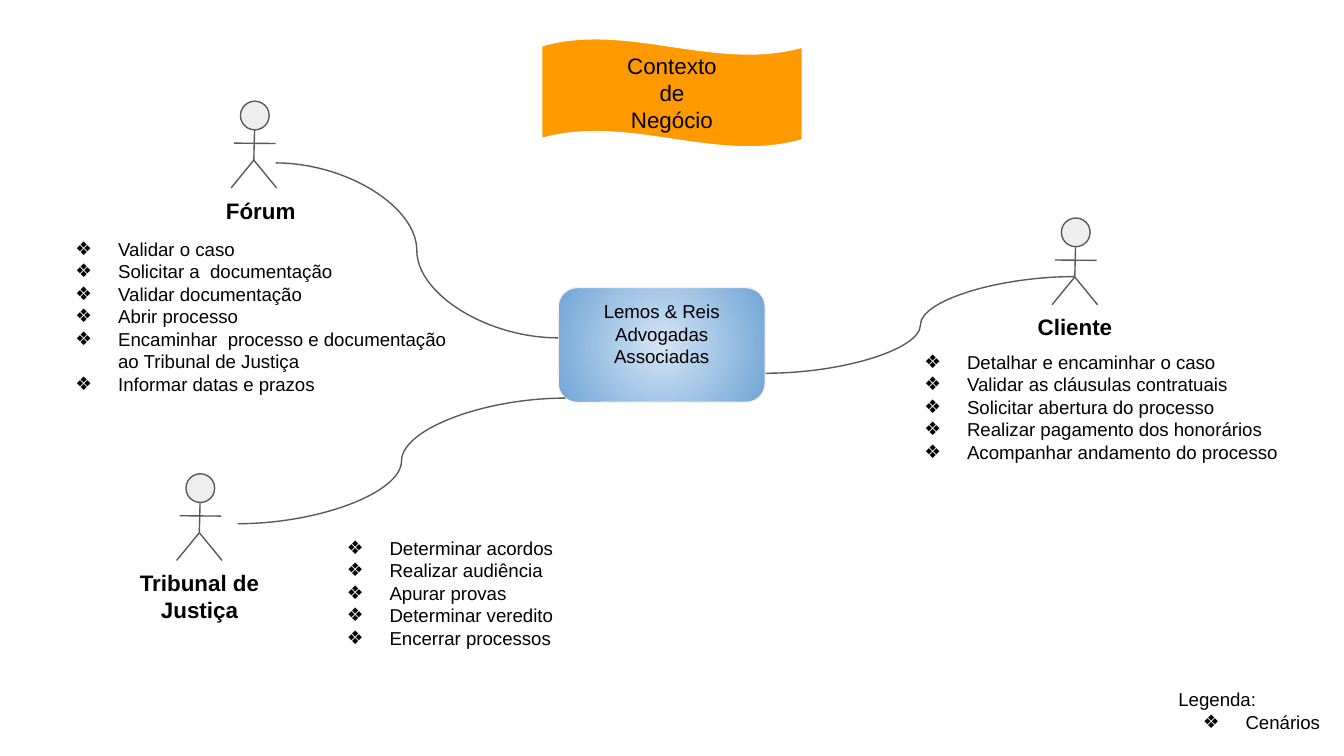
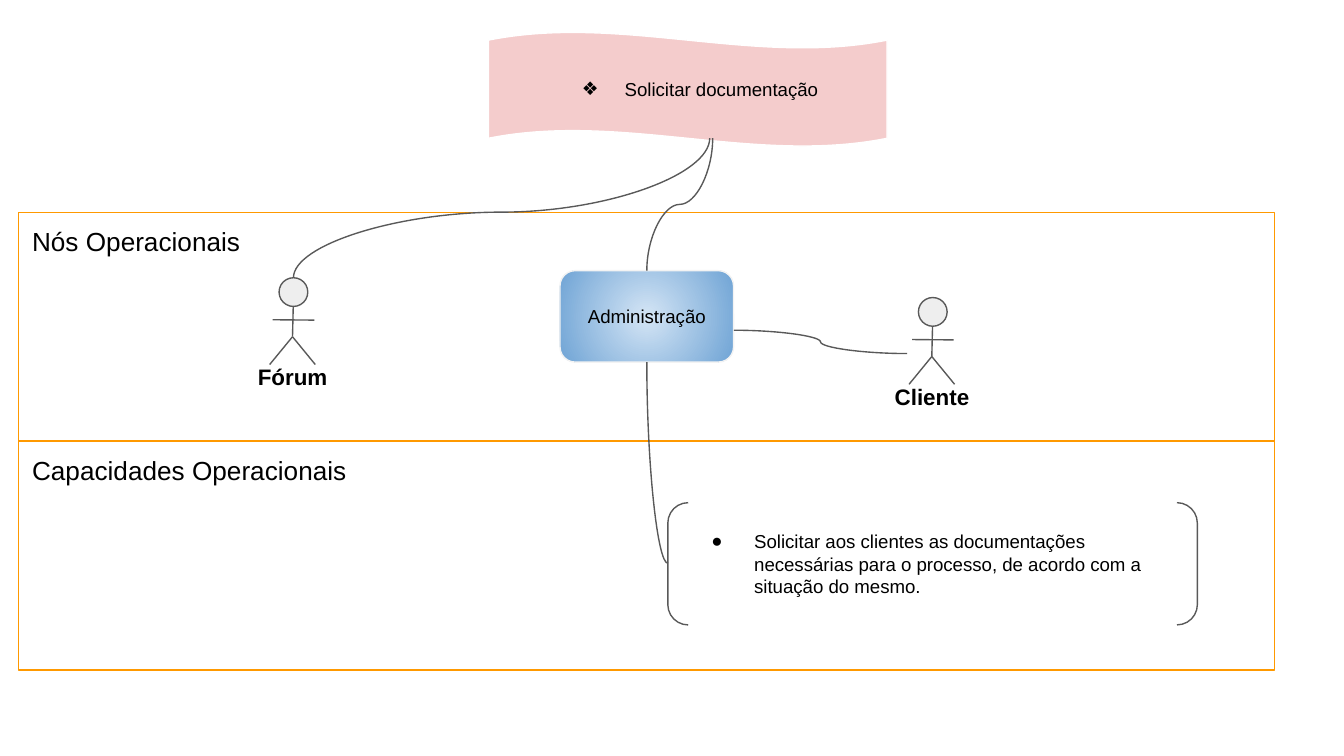
import dataclasses

import lxml.etree
import pptx
import pptx.dml.color
import pptx.enum.shapes
import pptx.enum.text
import pptx.oxml.ns
import pptx.util

Pt = pptx.util.Pt
qn = pptx.oxml.ns.qn
SHAPE = pptx.enum.shapes.MSO_SHAPE
CONNECTOR = pptx.enum.shapes.MSO_CONNECTOR
ALIGN = pptx.enum.text.PP_ALIGN
ANCHOR = pptx.enum.text.MSO_ANCHOR


@dataclasses.dataclass(frozen=True)
class Theme:
    """Colours, type sizes and measures, in points."""
    font: str = "Arial"
    text: str = "000000"
    white: str = "FFFFFF"
    orange: str = "FF9900"
    pink: str = "F4CCCC"
    stroke: str = "595959"
    head: str = "EEEEEE"
    node_edge: str = "F3F3F3"
    node_centre: str = "D4E5F5"
    node_rim: str = "70A4D5"
    body: int = 10
    label: int = 12
    heading: int = 14
    thin: float = 0.75
    inset: float = 7.2
    indent: float = 36
    hanging: float = 22.9
    diamond: str = "❖"
    dot: str = "●"


def rgb(value):
    """Turn a hex string into a colour."""
    return pptx.dml.color.RGBColor.from_string(value)


class Diagram:
    """Holds the style and the slide being drawn."""

    def __init__(self, deck, theme):
        self.deck, self.theme = deck, theme
        self.page = None

    def new_page(self):
        """Start a blank slide."""
        self.page = self.deck.slides.add_slide(self.deck.slide_layouts[6])

    def set_text(self, shape, lines, size, bold=False, align=ALIGN.LEFT,
                 anchor=ANCHOR.TOP, bullet=None, plain=0, below=0):
        """Set one paragraph per line, the first plain ones without bullet."""
        frame, inset = shape.text_frame, Pt(self.theme.inset)
        frame.word_wrap = True
        frame.vertical_anchor = anchor
        frame.margin_left = frame.margin_right = frame.margin_top = inset
        frame.margin_bottom = inset + Pt(below)
        for index, line in enumerate(lines):
            para = frame.add_paragraph() if index else frame.paragraphs[0]
            para.alignment = align
            if bullet and index >= plain:
                self.add_bullet(para, bullet)
            for part_index, part in enumerate(line.split("\n")):
                if part_index:
                    para.add_line_break()
                span = para.add_run()
                span.text = part
                span.font.name = self.theme.font
                span.font.size = Pt(size)
                span.font.bold = bold
                span.font.color.rgb = rgb(self.theme.text)

    def add_bullet(self, para, mark):
        """Give a paragraph a hanging bullet."""
        settings = para._p.get_or_add_pPr()
        settings.set("marL", str(Pt(self.theme.indent)))
        settings.set("indent", str(-Pt(self.theme.hanging)))
        colour = lxml.etree.SubElement(settings, qn("a:buClr"))
        lxml.etree.SubElement(colour, qn("a:srgbClr"), val=self.theme.text)
        lxml.etree.SubElement(settings, qn("a:buFont"), typeface=self.theme.font)
        lxml.etree.SubElement(settings, qn("a:buChar"), char=mark)

    def shape(self, kind, box, line, fill=None, width=None, shapes=None):
        """Draw a preset shape with a flat fill or none."""
        shapes = shapes or self.page.shapes
        shape = shapes.add_shape(kind, *map(Pt, box))
        shape.shadow.inherit = False
        if fill:
            shape.fill.solid()
            shape.fill.fore_color.rgb = rgb(fill)
        else:
            shape.fill.background()
        shape.line.color.rgb = rgb(line)
        shape.line.width = Pt(width or self.theme.thin)
        return shape

    def text(self, box, lines, size=None, shapes=None, **style):
        """Add a text box."""
        shapes = shapes or self.page.shapes
        shape = shapes.add_textbox(*map(Pt, box))
        self.set_text(shape, lines, size or self.theme.body, **style)

    def bullets(self, box, lines, plain=0):
        """Add a list of scenarios."""
        self.text(box, lines, bullet=self.theme.diamond, plain=plain)

    def banner(self, box, fill, lines, size, width, bullet=None):
        """Draw the waving title flag."""
        flag = self.shape(SHAPE.WAVE, box, self.theme.white, fill, width)
        flag.adjustments[0] = 0.07
        self.set_text(flag, lines, size, align=ALIGN.CENTER,
                      anchor=ANCHOR.MIDDLE, bullet=bullet)

    def node(self, box, name, below=0):
        """Draw a rounded node with a radial gradient."""
        node = self.shape(SHAPE.ROUNDED_RECTANGLE, box, self.theme.node_edge)
        node.fill.gradient()
        colours = (self.theme.node_centre, self.theme.node_rim)
        for stop, position, colour in zip(node.fill.gradient_stops, (0, 1), colours):
            stop.position = position
            stop.color.rgb = rgb(colour)
        gradient = node._element.spPr.find(qn("a:gradFill"))
        gradient.remove(gradient.find(qn("a:lin")))
        radial = lxml.etree.SubElement(gradient, qn("a:path"), {"path": "circle"})
        lxml.etree.SubElement(radial, qn("a:fillToRect"),
                              dict.fromkeys("ltrb", "50000"))
        self.set_text(node, [name], self.theme.body, align=ALIGN.CENTER,
                      anchor=ANCHOR.MIDDLE, below=below)

    def panel(self, box, title):
        """Draw an outlined band with its heading."""
        panel = self.shape(SHAPE.RECTANGLE, box, self.theme.orange)
        self.set_text(panel, [title], self.theme.heading)

    def brackets(self, box, note):
        """Draw a bulleted note between brackets."""
        pair = self.shape(SHAPE.DOUBLE_BRACKET, box, self.theme.stroke)
        self.set_text(pair, [note], self.theme.body, anchor=ANCHOR.MIDDLE,
                      bullet=self.theme.dot)

    def connect(self, kind, start, end, shapes=None):
        """Draw a connector without shadow."""
        shapes = shapes or self.page.shapes
        line = shapes.add_connector(kind, *map(Pt, (*start, *end)))
        line.line.color.rgb = rgb(self.theme.stroke)
        line.line.width = Pt(self.theme.thin)
        lxml.etree.SubElement(line._element.spPr, qn("a:effectLst"))
        return line

    def curve(self, start, end):
        """Draw an S curve that leaves sideways."""
        return self.connect(CONNECTOR.CURVE, start, end)

    def upright_curve(self, start, end, bend=0.5, single=False):
        """Draw a curve that leaves vertically, by a quarter turn."""
        middle_x, middle_y = ((a + b) / 2 for a, b in zip(start, end))
        turned = [(middle_x - (y - middle_y), middle_y + (x - middle_x))
                  for x, y in (start, end)]
        line = self.curve(*turned)
        line.rotation = 270
        geometry = line._element.spPr.find(qn("a:prstGeom"))
        if single:
            geometry.set("prst", "curvedConnector2")
        else:
            lxml.etree.SubElement(geometry.find(qn("a:avLst")), qn("a:gd"),
                                  name="adj1", fmla=f"val {round(bend * 100000)}")

    def actor(self, left, top, name, label_top=44, label_width=80.6,
              label_height=36):
        """Draw a stick figure with its name, as one group."""
        shapes = self.page.shapes.add_group_shape().shapes
        self.shape(SHAPE.FLOWCHART_CONNECTOR, (left, top, 15.4, 15.4),
                   self.theme.stroke, self.theme.head, shapes=shapes)
        neck, hip = (7.6, 15.4), (7.2, 31.6)
        limbs = ((neck, hip), ((-3.4, 22.5), (18.9, 22.7)),
                 (hip, (-5, 46.5)), ((19.4, 46.5), hip))
        for limb in limbs:
            start, end = ((left + x, top + y) for x, y in limb)
            self.connect(CONNECTOR.STRAIGHT, start, end, shapes)
        self.text((left - 33, top + label_top, label_width, label_height),
                  [name], self.theme.label, shapes, bold=True, align=ALIGN.CENTER)


def business_context(diagram):
    """Draw the business context and its three actors."""
    theme = diagram.theme
    diagram.new_page()
    diagram.banner((289, 19.5, 142, 60.5), theme.orange,
                   ["Contexto", "de", "Negócio"], theme.label, 3)
    diagram.bullets((624.2, 361.5, 91.6, 37.4), ["Legenda:", "Cenários"], plain=1)
    diagram.node((299, 154, 111, 61.6), "Lemos & Reis Advogadas Associadas", below=12)
    diagram.actor(568.6, 116.8, "Cliente")
    diagram.actor(128.8, 54.2, "Fórum", label_width=87.8)
    diagram.curve((147.6, 87.3), (299, 181))
    diagram.curve((410.2, 200), (576, 148.2))
    diagram.bullets((20.2, 120.2, 239, 85.7), [
        "Validar o caso",
        "Solicitar a  documentação",
        "Validar documentação",
        "Abrir processo",
        "Encaminhar  processo e documentação ao Tribunal de Justiça",
        "Informar datas e prazos"])
    diagram.bullets((475, 180.7, 219.6, 72.7), [
        "Detalhar e encaminhar o caso",
        "Validar as cláusulas contratuais",
        "Solicitar abertura do processo",
        "Realizar pagamento dos honorários",
        "Acompanhar andamento do processo"])
    diagram.actor(99.6, 253.8, "Tribunal de Justiça")
    diagram.curve((303, 213.3), (127.3, 280.6))
    diagram.bullets((165.6, 280.4, 157.7, 47.5), [
        "Determinar acordos",
        "Realizar audiência",
        "Apurar provas",
        "Determinar veredito",
        "Encerrar processos"])


def request_documents(diagram):
    """Draw the scenario of asking for documents."""
    theme = diagram.theme
    diagram.new_page()
    diagram.banner((261.6, 17.2, 213.6, 61.2), theme.pink,
                   ["Solicitar documentação"], theme.body, theme.thin, theme.diamond)
    band_height = 122.6
    for row, title in enumerate(("Nós Operacionais", "Capacidades Operacionais")):
        diagram.panel((10.1, 113.7 + row * band_height, 672.6, band_height), title)
    diagram.actor(149.5, 148.8, "Fórum", 38.4, label_height=27.4)
    diagram.node((300, 145, 93, 49), "Administração")
    diagram.upright_curve((157.2, 148.8), (380.2, 74), bend=0.47)
    diagram.upright_curve((346.5, 145), (381.8, 74))
    diagram.brackets((357.8, 269.3, 283.7, 65.5),
                     "Solicitar aos clientes as documentações\n"
                     "necessárias para o processo, de acordo com a\n"
                     "situação do mesmo.")
    diagram.curve((393.2, 176.9), (486, 189.4))
    diagram.actor(492, 159.4, "Cliente", 38.4, label_height=27.4)
    diagram.upright_curve((346.5, 194), (357.8, 301.8), single=True)


def main():
    """Build and save the deck."""
    deck = pptx.Presentation()
    deck.slide_width, deck.slide_height = Pt(720), Pt(405)
    diagram = Diagram(deck, Theme())
    business_context(diagram)
    request_documents(diagram)
    deck.save("out.pptx")


main()
